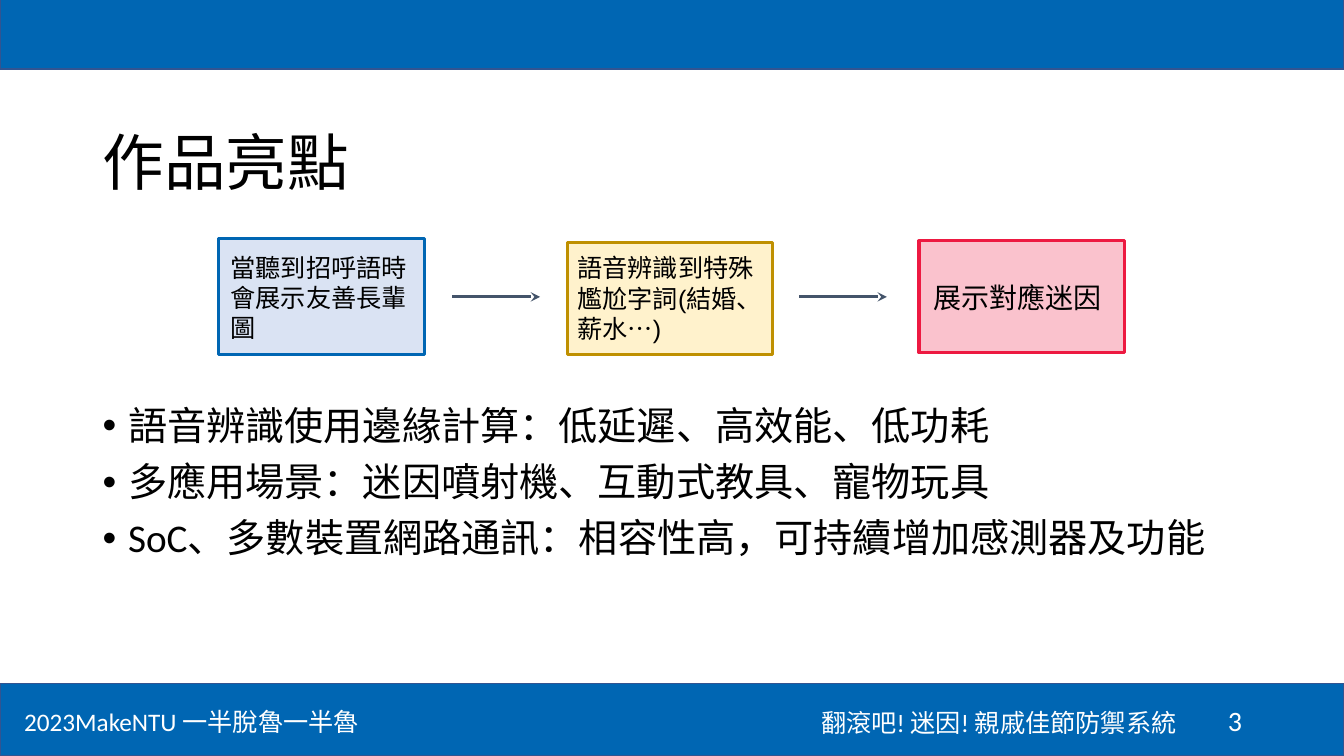
from lxml import etree
from pptx import Presentation
from pptx import util as u
from pptx.dml.color import RGBColor
from pptx.enum import shapes, text
from pptx.oxml.ns import qn

COLORS = {
    "blue": "0066B3", "bar_edge": "325491", "white": "FFFFFF", "black": "000000",
    "pale_blue": "DAE3F3", "cream": "FFF2CC", "gold": "BF9000",
    "pink": "FAC2CD", "red": "ED1941", "slate": "44546A",
}
LEFT, CENTER, RIGHT = text.PP_ALIGN.LEFT, text.PP_ALIGN.CENTER, text.PP_ALIGN.RIGHT
TOP, MIDDLE = text.MSO_ANCHOR.TOP, text.MSO_ANCHOR.MIDDLE


class SlideBuilder:
    """Adds styled elements, measured in centimetres, to one slide."""

    def __init__(self, page):
        self.page = page

    def color(self, name):
        return RGBColor.from_string(COLORS[name])

    def fill_text(self, box, lines, size, color="black", font="Calibri", align=LEFT,
                  anchor=TOP, insets=(0.25, 0.13, 0.25, 0.13), spacing=None, bullets=False):
        frame = box.text_frame
        frame.word_wrap = True
        frame.vertical_anchor = anchor
        (frame.margin_left, frame.margin_top,
         frame.margin_right, frame.margin_bottom) = map(u.Cm, insets)
        for index, line in enumerate(lines):
            para = frame.paragraphs[0] if index == 0 else frame.add_paragraph()
            para.text = line
            para.alignment = align
            if spacing:
                para.line_spacing = spacing
            if bullets:
                if index:
                    para.space_before = u.Pt(10)
                props = para._p.get_or_add_pPr()
                props.set("marL", str(u.Cm(0.64)))
                props.set("indent", str(-u.Cm(0.64)))
                etree.SubElement(props, qn("a:buFont")).set("typeface", "Arial")
                etree.SubElement(props, qn("a:buChar")).set("char", "•")
            para.font.size = u.Pt(size)
            para.font.name = font
            para.font.color.rgb = self.color(color)

    def text_box(self, place, lines, size, **style):
        box = self.page.shapes.add_textbox(*map(u.Cm, place))
        self.fill_text(box, lines, size, **style)

    def rectangle(self, place, fill, edge, width):
        box = self.page.shapes.add_shape(shapes.MSO_SHAPE.RECTANGLE, *map(u.Cm, place))
        box.shadow.inherit = False
        box.fill.solid()
        box.fill.fore_color.rgb = self.color(fill)
        box.line.color.rgb = self.color(edge)
        box.line.width = u.Pt(width)
        return box

    def arrow(self, left, top, length):
        ends = map(u.Cm, (left, top, left + length, top))
        arrow = self.page.shapes.add_connector(shapes.MSO_CONNECTOR.STRAIGHT, *ends)
        arrow.line.color.rgb = self.color("slate")
        arrow.line.width = u.Pt(2.25)
        props = arrow._element.spPr
        etree.SubElement(props.find(qn("a:ln")), qn("a:tailEnd")).set("type", "stealth")
        etree.SubElement(props, qn("a:effectLst"))


def main():
    deck = Presentation()
    deck.slide_width, deck.slide_height = u.Cm(33.87), u.Cm(19.05)
    builder = SlideBuilder(deck.slides.add_slide(deck.slide_layouts[6]))

    for top in (-0.08, 17.22):
        builder.rectangle((0, top, 33.87, 1.82), "blue", "bar_edge", 1)
    builder.text_box((0.36, 17.68, 10.16, 1.02), ["2023MakeNTU 一半脫魯一半魯"], 18, color="white")
    builder.text_box((20.09, 17.7, 10.16, 1.02), ["翻滾吧! 迷因! 親戚佳節防禦系統"], 18,
                     color="white", align=CENTER)
    builder.text_box((23.93, 17.65, 7.62, 1.02), ["3"], 20,
                     color="white", align=RIGHT, anchor=MIDDLE)

    builder.text_box((2.34, 2.34, 29.21, 3.68), ["作品亮點"], 44, anchor=MIDDLE, spacing=0.9)
    builder.text_box((2.34, 10.11, 29.21, 6.9), [
        "語音辨識使用邊緣計算：低延遲、高效能、低功耗",
        "多應用場景：迷因噴射機、互動式教具、寵物玩具",
        "SoC、多數裝置網路通訊：相容性高，可持續增加感測器及功能",
    ], 28, spacing=0.9, bullets=True)

    steps = [
        ((5.51, 6.02, 5.18, 2.92), "pale_blue", "blue", "當聽到招呼語時會展示友善長輩圖",
         18, LEFT, TOP, (0.3, 0.33, 0.2, 0.25)),
        ((14.3, 6.12, 5.18, 2.82), "cream", "gold", "語音辨識到特殊尷尬字詞(結婚、薪水…)",
         18, LEFT, TOP, (0.25, 0.25, 0.25, 0.25)),
        ((23.16, 6.07, 5.18, 2.82), "pink", "red", "展示對應迷因",
         20, CENTER, MIDDLE, (0.2, 0.25, 0.4, 0.25)),
    ]
    for place, fill, edge, label, size, align, anchor, insets in steps:
        box = builder.rectangle(place, fill, edge, 2.25)
        builder.fill_text(box, [label], size, font="Arial", align=align,
                          anchor=anchor, insets=insets)
    for left in (11.4, 20.14):
        builder.arrow(left, 7.48, 2.21)

    deck.save("out.pptx")


if __name__ == "__main__":
    main()
